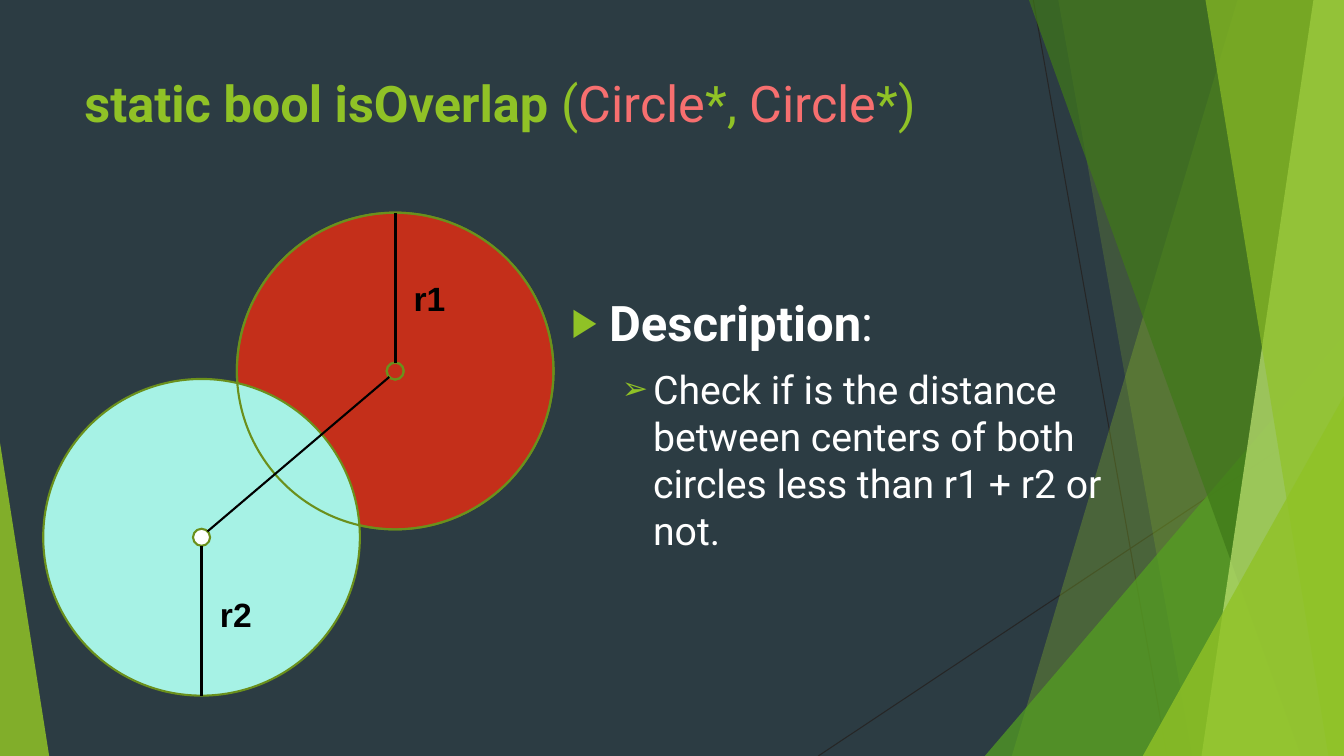
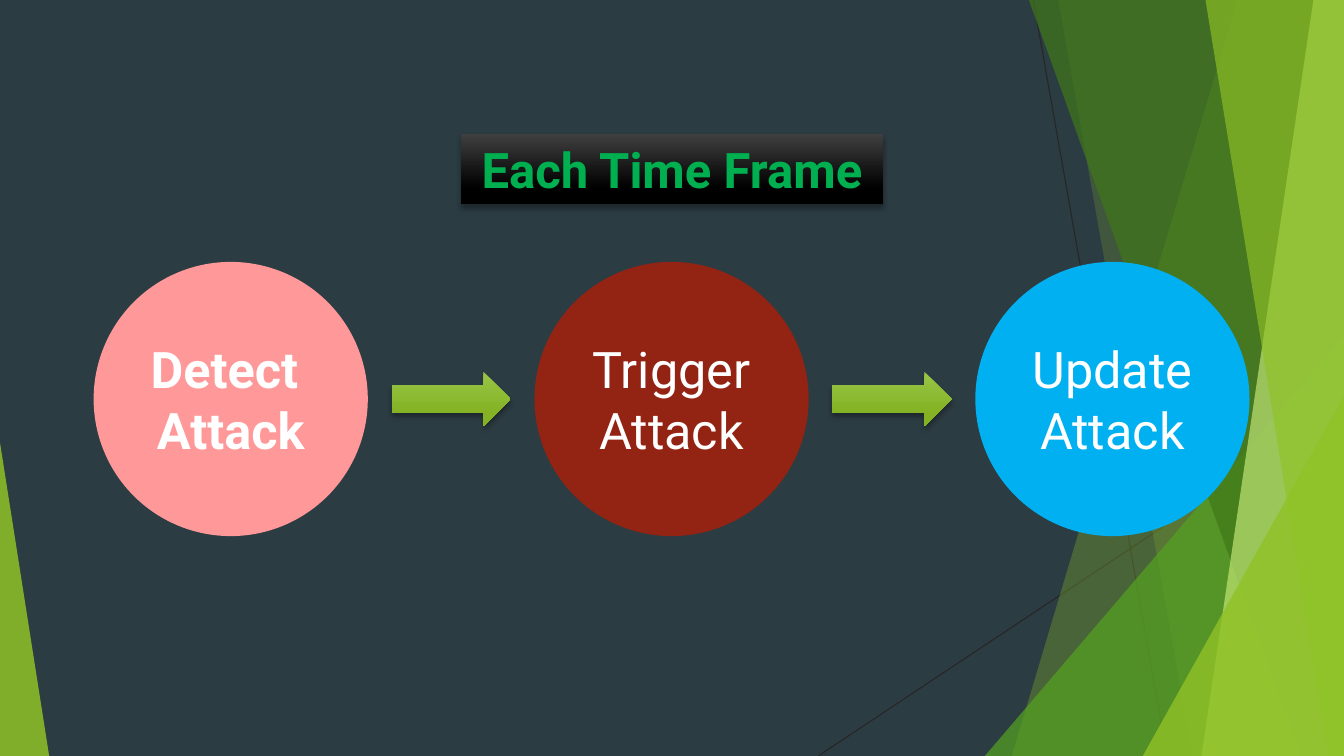
from lxml.etree import SubElement
from pptx import Presentation
from pptx.dml.color import RGBColor
from pptx.enum.shapes import MSO_CONNECTOR as Link, MSO_SHAPE as Shape
from pptx.enum.text import MSO_ANCHOR as Anchor, PP_ALIGN as Align
from pptx.oxml.ns import qn
from pptx.util import Cm, Pt

WIDTH, HEIGHT = 33.87, 19.05
FONT = "Roboto"
COLORS = {
    "back": "2C3C43", "hairline": "262626", "green": "90C226",
    "leaf": "54A021", "forest": "3F7819", "lime": "C0E474",
    "olive": "6B901C", "red": "C42F1A", "aqua": "A6F2E5",
    "coral": "F76F6F", "white": "FFFFFF", "black": "000000",
    "charcoal": "3F3F3F", "emerald": "00B050", "pink": "FF9999",
    "brick": "932313", "sky": "00B0F0", "arrow_top": "97C547",
    "arrow_bottom": "84B223",
}


def rgb(name):
    return RGBColor.from_string(COLORS[name])


def paint(shape, fill=None, line=None, weight=1.5, opacity=100):
    shape.shadow.inherit = False
    if fill:
        shape.fill.solid()
        shape.fill.fore_color.rgb = rgb(fill)
        if opacity < 100:
            color = shape.element.spPr.find(".//" + qn("a:srgbClr"))
            SubElement(color, qn("a:alpha"), val=str(opacity * 1000))
    else:
        shape.fill.background()
    if line:
        shape.line.color.rgb = rgb(line)
        shape.line.width = Pt(weight)
    else:
        shape.line.fill.background()
    return shape


def add_shape(page, kind, left, top, width, height):
    return page.shapes.add_shape(kind, Cm(left), Cm(top), Cm(width), Cm(height))


def add_line(page, start, end, color, weight):
    ends = [Cm(value) for value in (*start, *end)]
    line = page.shapes.add_connector(Link.STRAIGHT, *ends)
    line.line.color.rgb = rgb(color)
    line.line.width = Pt(weight)
    SubElement(line.element.spPr, qn("a:effectLst"))


def add_box(page, left, top, width, height):
    box = page.shapes.add_textbox(Cm(left), Cm(top), Cm(width), Cm(height))
    box.text_frame.word_wrap = True
    return box.text_frame


def add_span(para, text, size, color="white", bold=False, font=FONT):
    span = para.add_run()
    span.text = text
    span.font.size = Pt(size)
    span.font.name = font
    span.font.bold = bold
    span.font.color.rgb = rgb(color)


def add_bullet(para, mark, margin, hanging):
    para.space_before = Pt(10)
    props = para._p.get_or_add_pPr()
    props.set("marL", str(Cm(margin)))
    props.set("indent", str(-Cm(hanging)))
    color = SubElement(props, qn("a:buClr"))
    SubElement(color, qn("a:srgbClr"), val=COLORS["green"])
    SubElement(props, qn("a:buSzPct"), val="80000")
    SubElement(props, qn("a:buFont"), typeface="Arial")
    SubElement(props, qn("a:buChar"), char=mark)


def add_raised(page, kind, bounds, top_color, bottom_color):
    shape = paint(add_shape(page, kind, *bounds))
    shape.fill.gradient()
    shape.fill.gradient_angle = 270
    stops = zip(shape.fill.gradient_stops, (0, 0.78), (top_color, bottom_color))
    for stop, position, color in stops:
        stop.position = position
        stop.color.rgb = rgb(color)
    effects = shape.element.spPr.find(qn("a:effectLst"))
    shadow = SubElement(effects, qn("a:outerShdw"), blurRad=str(Pt(4)),
                        dist=str(Pt(3)), dir="5400000", rotWithShape="0")
    color = SubElement(shadow, qn("a:srgbClr"), val=COLORS["black"])
    SubElement(color, qn("a:alpha"), val="35000")
    return shape


def add_veil(page, top_x, bottom_x, color, opacity):
    outline = page.shapes.build_freeform(Cm(top_x), 0)
    corners = ((WIDTH, 0), (WIDTH, HEIGHT), (bottom_x, HEIGHT))
    outline.add_line_segments([(Cm(x), Cm(y)) for x, y in corners])
    paint(outline.convert_to_shape(), color, opacity=opacity)


def add_wedge(page, left, top, width, apex, color, opacity):
    wedge = add_shape(page, Shape.ISOSCELES_TRIANGLE, left, top, width, HEIGHT - top)
    wedge.adjustments[0] = apex
    paint(wedge, color, opacity=opacity)


def decorate_layout(deck, layout):
    layout.background.fill.solid()
    layout.background.fill.fore_color.rgb = rgb("back")
    tree = layout.shapes.element
    for holder in list(layout.placeholders):
        tree.remove(holder.element)
    page = deck.slides.add_slide(layout)
    add_line(page, (26.04, 0), (29.41, HEIGHT), "hairline", 0.75)
    add_line(page, (WIDTH, 10.24), (20.62, HEIGHT), "hairline", 0.75)
    add_veil(page, 31.19, 25.5, "green", 30)
    add_veil(page, 26.67, 30.05, "green", 20)
    add_wedge(page, 24.82, 8.46, 9.05, 1, "leaf", 72)
    add_veil(page, 25.93, 32.79, "forest", 70)
    add_veil(page, 33.1, 30.28, "lime", 70)
    add_veil(page, 30.38, 33.48, "green", 65)
    add_wedge(page, 28.8, 9.98, 5.07, 1, "green", 80)
    add_wedge(page, 0, 11.15, 1.24, 0, "green", 85)
    for shape in list(page.shapes):
        tree.append(shape.element)
    return page


def add_title(page, left, top, width, height):
    para = add_box(page, left, top, width, height).paragraphs[0]
    add_span(para, "static bool isOverlap", 36, "green", True)
    for text, color in ((" (", "green"), ("Circle", "coral"), ("*, ", "green"),
                        ("Circle", "coral"), ("*)", "green")):
        add_span(para, text, 36, color)


def add_disc(page, center, size, fill=None, line="olive"):
    x, y = center
    bounds = x - size / 2, y - size / 2, size, size
    return paint(add_shape(page, Shape.OVAL, *bounds), fill, line)


def add_radius(page, center, start, end, label, label_top):
    x, y = center
    add_line(page, (x, y + start), (x, y + end), "black", 2.25)
    para = add_box(page, x, y + label_top, 1.73, 1.27).paragraphs[0]
    para.alignment = Align.CENTER
    add_span(para, label, 24, "black", True, "Arial")


def add_overlap(page, left, top, width, height):
    size, dot = 7.98, 0.43
    red = left + width - size / 2, top + size / 2
    aqua = left + size / 2, top + height - size / 2
    add_disc(page, red, size, "red")
    add_disc(page, red, dot, "red")
    add_disc(page, aqua, size, "aqua")
    add_disc(page, aqua, dot, "white")
    add_disc(page, red, size)
    add_disc(page, red, dot)
    add_line(page, (red[0] - 0.15, red[1] + 0.15),
             (aqua[0] + 0.15, aqua[1] - 0.15), "black", 1.5)
    add_radius(page, red, -dot / 2, -size / 2, "r1", -2.47)
    add_radius(page, aqua, dot / 2, size / 2, "r2", 1.29)


def add_description(page, left, top, width, height):
    frame = add_box(page, left, top, width, height)
    head = frame.paragraphs[0]
    add_bullet(head, "▶", 0.95, 0.95)
    add_span(head, "Description", 35, bold=True)
    add_span(head, ":", 35)
    detail = frame.add_paragraph()
    detail.level = 1
    add_bullet(detail, "➢", 2.06, 0.79)
    add_span(detail, "Check if is the distance between centers of both "
             "circles less than r1 + r2 or not.", 28)


def add_banner(page, left, top, width, height):
    bounds = left, top, width, height
    banner = add_raised(page, Shape.RECTANGLE, bounds, "charcoal", "black")
    frame = banner.text_frame
    frame.word_wrap = True
    frame.vertical_anchor = Anchor.TOP
    para = frame.paragraphs[0]
    para.alignment = Align.CENTER
    add_span(para, "Each Time Frame", 35, "emerald", True)


def add_steps(page, left, top, width, height):
    steps = (
        (("Detect ", "Attack"), "pink", True),
        (("Trigger Attack",), "brick", False),
        (("Update Attack",), "sky", False),
    )
    pitch = (width - height) / (len(steps) - 1)
    arrow_width, arrow_height = 3, 1.37
    middle = top + height / 2
    for index, (lines, color, bold) in enumerate(steps):
        x = left + index * pitch
        disc = add_disc(page, (x + height / 2, middle), height, color, None)
        frame = disc.text_frame
        frame.word_wrap = True
        frame.vertical_anchor = Anchor.MIDDLE
        for number, text in enumerate(lines):
            para = frame.add_paragraph() if number else frame.paragraphs[0]
            para.alignment = Align.CENTER
            add_span(para, text, 36, bold=bold)
    for index in range(len(steps) - 1):
        x = left + index * pitch + (pitch + height - arrow_width) / 2
        bounds = x, middle - arrow_height / 2, arrow_width, arrow_height
        add_raised(page, Shape.RIGHT_ARROW, bounds, "arrow_top", "arrow_bottom")


def main():
    deck = Presentation()
    deck.slide_width, deck.slide_height = Cm(WIDTH), Cm(HEIGHT)
    blank = deck.slide_layouts[6]

    overlap_page = decorate_layout(deck, blank)
    add_overlap(overlap_page, 1.09, 5.36, 12.86, 12.17)
    add_title(overlap_page, 1.88, 1.7, 23.88, 3.66)
    add_description(overlap_page, 14.15, 7.24, 14.05, 6.93)

    frame_page = deck.slides.add_slide(blank)
    add_banner(frame_page, 11.63, 3.38, 10.62, 1.75)
    add_steps(frame_page, 2.36, 6.6, 29.13, 6.91)

    deck.save("out.pptx")


if __name__ == "__main__":
    main()
